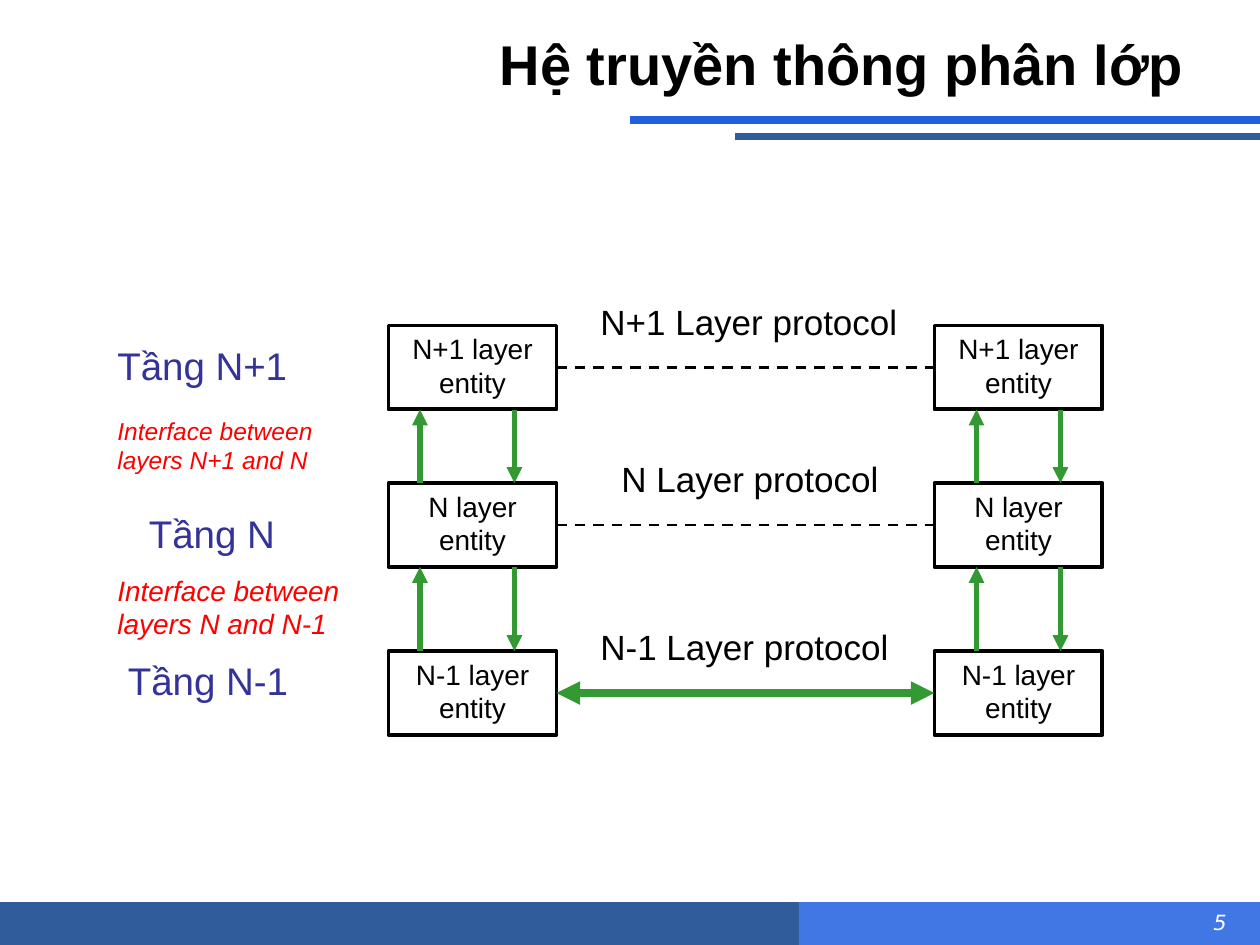
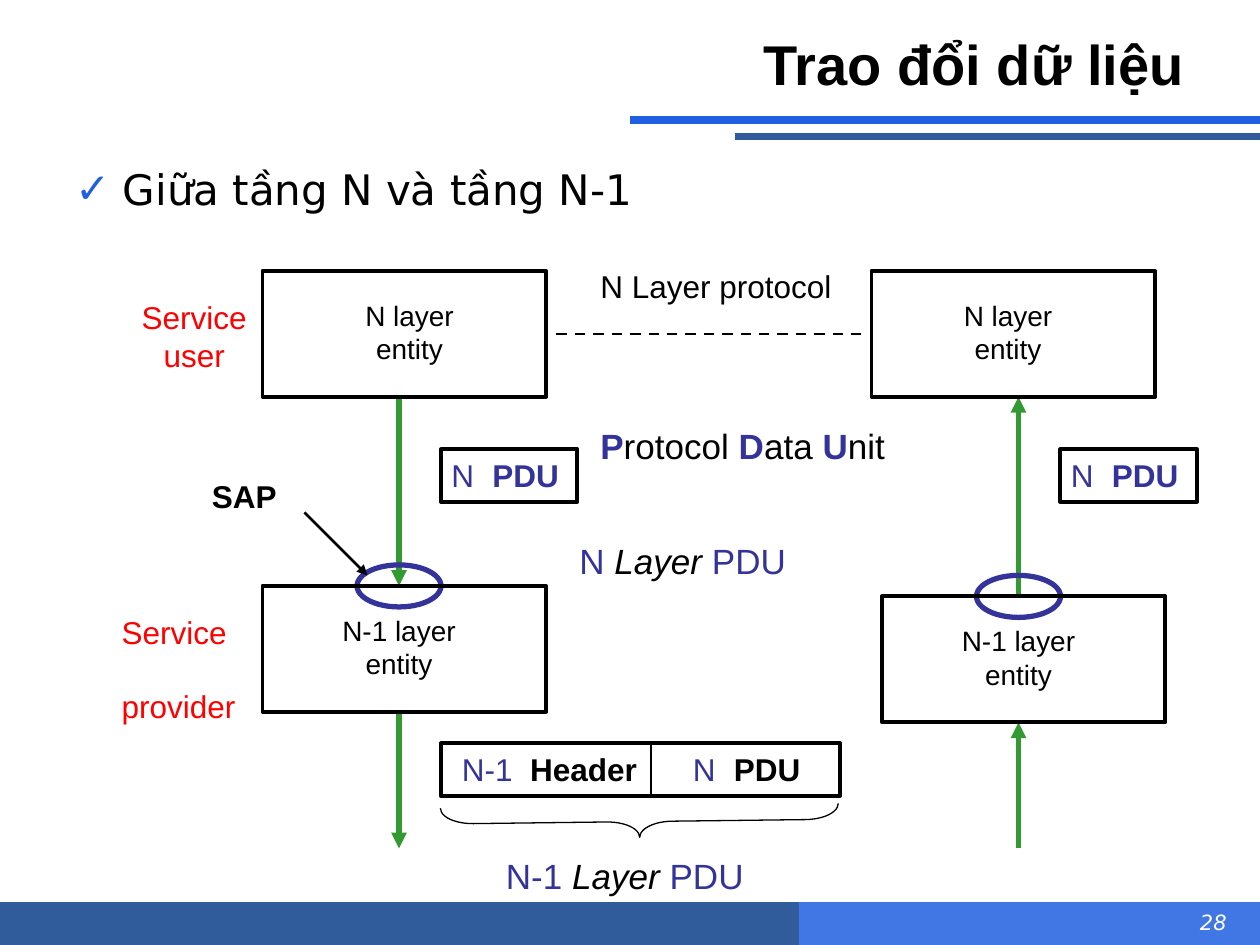
from lxml import etree
from pptx import Presentation
from pptx.dml.color import RGBColor
from pptx.enum.dml import MSO_LINE
from pptx.enum.shapes import MSO_CONNECTOR, MSO_SHAPE
from pptx.enum.text import MSO_ANCHOR, MSO_AUTO_SIZE, PP_ALIGN
from pptx.oxml.ns import qn
from pptx.util import Pt

PX = 7620  # 120 px to the inch
RECT, OVAL, BRACE = MSO_SHAPE.RECTANGLE, MSO_SHAPE.OVAL, MSO_SHAPE.RIGHT_BRACE
STRAIGHT, DASH = MSO_CONNECTOR.STRAIGHT, MSO_LINE.DASH
LEFT, CENTER, RIGHT = PP_ALIGN.LEFT, PP_ALIGN.CENTER, PP_ALIGN.RIGHT
TOP, MIDDLE, NO_FIT = MSO_ANCHOR.TOP, MSO_ANCHOR.MIDDLE, MSO_AUTO_SIZE.NONE
rgb = RGBColor.from_string

BLACK, WHITE, RED = "000000", "FFFFFF", "FF0000"
INDIGO, GREEN = "333399", "339933"
BRIGHT, NAVY, SKY = "2060E0", "315C9B", "4077E4"
SANS, UI = "Arial", "DejaVu Sans"


def add_box(slide, box, runs=(), size=16, align=LEFT, font=SANS, preset=None,
            line=BLACK, width=2.25, fill=None, insets=(12, 6, 12, 6), tab=None):
    """Text box, or preset shape when one is given; runs are (text, colour, style)."""
    x, y, w, h = [v * PX for v in box]
    if preset is None:
        sp = slide.shapes.add_textbox(x, y, w, h)
    else:
        sp = slide.shapes.add_shape(preset, x, y, w, h)
        sp.shadow.inherit = False
        sp.line.color.rgb = rgb(line)
        sp.line.width = Pt(width)
        if fill:
            sp.fill.solid()
            sp.fill.fore_color.rgb = rgb(fill)
        else:
            sp.fill.background()
    tf = sp.text_frame
    tf.word_wrap = True
    tf.vertical_anchor = TOP
    tf.margin_left, tf.margin_top, tf.margin_right, tf.margin_bottom = [v * PX for v in insets]
    p = tf.paragraphs[0]
    p.alignment = align
    if tab:
        tabs = etree.SubElement(p._p.get_or_add_pPr(), qn("a:tabLst"))
        etree.SubElement(tabs, qn("a:tab"), pos=str(tab * PX), algn="l")
    for text, colour, style in runs:
        r = p.add_run()
        r.text = text
        r.font.name, r.font.size = font, Pt(size)
        r.font.bold, r.font.italic = "b" in style, "i" in style
        r.font.color.rgb = rgb(colour)
    return sp


def add_line(slide, ends, colour, width, dash=None, arrows=()):
    cx = slide.shapes.add_connector(STRAIGHT, *[v * PX for v in ends])
    cx.line.color.rgb = rgb(colour)
    cx.line.width = Pt(width)
    if dash:
        cx.line.dash_style = dash
    for end in arrows:
        etree.SubElement(cx.line._get_or_add_ln(), qn("a:" + end), type="triangle")
    etree.SubElement(cx._element.spPr, qn("a:effectLst"))
    return cx


prs = Presentation()
prs.slide_width, prs.slide_height = 1200 * PX, 900 * PX
layers = prs.slides.add_slide(prs.slide_layouts[5])
exchange = prs.slides.add_slide(prs.slide_layouts[1])

# Bands and rules, moved to the master so that every slide has them
decor = [
    add_box(layers, (600, 860, 600, 40), preset=RECT, line=SKY, width=0.75, fill=SKY),
    add_box(layers, (0, 860, 760, 40), preset=RECT, line=NAVY, width=0.75, fill=NAVY),
    add_line(layers, (1200, 114, 600, 114), BRIGHT, 4.5),
    add_line(layers, (1200, 130, 700, 130), NAVY, 4.5),
]
for sp in decor:
    prs.slide_master.shapes._spTree.append(sp._element)

# Titles and page numbers
for slide, title, number in ((layers, "Hệ truyền thông phân lớp", "5"),
                             (exchange, "Trao đổi dữ liệu", "28")):
    sp = slide.shapes.title
    sp.left, sp.top, sp.width, sp.height = 60 * PX, 20 * PX, 1080 * PX, 80 * PX
    tf = sp.text_frame
    tf.auto_size, tf.vertical_anchor = NO_FIT, MIDDLE
    p = tf.paragraphs[0]
    p.alignment = RIGHT
    r = p.add_run()
    r.text = title
    r.font.name, r.font.size, r.font.bold = SANS, Pt(32), True
    r.font.color.rgb = rgb(BLACK)
    add_box(slide, (960, 860, 220, 40), [(number, WHITE, "i")], 12, RIGHT, UI)

# Slide 1: layer names and interfaces
for text, x, y in (("Tầng N+1", 100, 320), ("Tầng N", 130, 480), ("Tầng N-1", 110, 620)):
    add_box(layers, (x, y, 220, 56), [(text, INDIGO, "")], 22)
for text, y, size in (("Interface between layers N+1 and N", 390, 14),
                      ("Interface between layers N and N-1", 540, 16)):
    add_box(layers, (100, y, 250, 72), [(text, RED, "i")], size)

# Slide 1: one pair of entities for each layer, joined by its protocol
ENTITY_W, ENTITY_H = 160, 80
LEFT_X, RIGHT_X = 370, 890
rows = (("N+1", 310, 560), ("N", 460, 580), ("N-1", 620, 560))
for name, y, label_x in rows:
    pair = [add_box(layers, (x, y, ENTITY_W, ENTITY_H), [(name + " layer entity", BLACK, "")],
                    align=CENTER, preset=RECT) for x in (LEFT_X, RIGHT_X)]
    mid = y + ENTITY_H // 2
    ends = (LEFT_X + ENTITY_W, mid, RIGHT_X, mid)
    if name == "N-1":
        cx = add_line(layers, ends, GREEN, 4.5, arrows=("headEnd", "tailEnd"))
    else:
        cx = add_line(layers, ends, BLACK, 1.5, DASH)
    cx.begin_connect(pair[0], 3)
    cx.end_connect(pair[1], 1)
    add_box(layers, (label_x, y - 30, 310, 53), [(name + " Layer protocol", BLACK, "")], 20)

# Slide 1: arrows up and down between neighbouring layers
for (_, upper, _), (_, lower, _) in zip(rows, rows[1:]):
    for up_x, down_x in ((400, 490), (930, 1010)):
        add_line(layers, (up_x, lower, up_x, upper + ENTITY_H), GREEN, 3, arrows=["tailEnd"])
        add_line(layers, (down_x, upper + ENTITY_H, down_x, lower), GREEN, 3, arrows=["tailEnd"])

# Slide 2: bullet
sp = exchange.placeholders[1]
sp.left, sp.top, sp.width, sp.height = 60 * PX, 140 * PX, 1080 * PX, 680 * PX
tf = sp.text_frame
tf.auto_size = NO_FIT
p = tf.paragraphs[0]
p.line_spacing, p.space_before = 1.2, Pt(0)
pPr = p._p.get_or_add_pPr()
pPr.set("marL", str(45 * PX))
pPr.set("indent", str(-45 * PX))
etree.SubElement(etree.SubElement(pPr, qn("a:buClr")), qn("a:srgbClr"), val=BRIGHT)
etree.SubElement(pPr, qn("a:buChar"), char="✓")
r = p.add_run()
r.text = "Giữa tầng N và tầng N-1"
r.font.name, r.font.size = UI, Pt(24)
r.font.color.rgb = rgb(BLACK)

# Slide 2: data flow and access points, below the entities
for ends in ((380, 378, 380, 558), (970, 568, 970, 378),
             (380, 678, 380, 808), (970, 808, 970, 688)):
    add_line(exchange, ends, GREEN, 3, arrows=["tailEnd"])
for x, y in ((340, 538), (930, 548)):
    add_box(exchange, (x, y, 80, 40), preset=OVAL, line=INDIGO, width=3)
add_line(exchange, (290, 488, 350, 548), BLACK, 1.5, arrows=["tailEnd"])
add_line(exchange, (530, 318, 820, 318), BLACK, 1.5, DASH)

# Slide 2: entities
for name, x, y, inset in (("N", 250, 258, 72), ("N", 830, 258, 62),
                          ("N-1", 250, 558, 62), ("N-1", 840, 568, 62)):
    add_box(exchange, (x, y, 270, 120), [(name + " layer entity", BLACK, "")], align=CENTER,
            preset=RECT, insets=(inset, 26, 134 - inset, 6))

# Slide 2: data units
for x in (420, 1010):
    add_box(exchange, (x, 428, 130, 50), [("N\t", INDIGO, ""), ("PDU", INDIGO, "b")], 18,
            preset=RECT, insets=(10, 6, 0, 6), tab=39)
add_box(exchange, (420, 708, 380, 50), preset=RECT)
add_line(exchange, (620, 708, 620, 758), BLACK, 1.5)
for name, part, x, w, inset, tab in (("N-1", "Header", 420, 200, 20, 65),
                                     ("N", "PDU", 620, 180, 40, 39)):
    add_box(exchange, (x, 708, w, 50), [(name + "\t", INDIGO, ""), (part, BLACK, "b")], 18,
            insets=(inset, 6, 0, 6), tab=tab)
sp = add_box(exchange, (594, 593, 30, 379), preset=BRACE, width=0.75)
sp.adjustments[0] = 1.04
sp.rotation = 89.3

# Slide 2: labels
add_box(exchange, (560, 248, 250, 48), [("N Layer protocol", BLACK, "")], 18)
add_box(exchange, (190, 448, 140, 48), [("SAP", BLACK, "b")], 18)
add_box(exchange, (120, 278, 130, 84), [("Service user", RED, "")], 18, CENTER)
sp = add_box(exchange, (104, 578, 140, 120), [("Service", RED, "")], 18)
p = sp.text_frame.add_paragraph()
p.space_before = Pt(20.5)
r = p.add_run()
r.text = "provider"
r.font.name, r.font.size = SANS, Pt(18)
r.font.color.rgb = rgb(RED)
words = (("P", "rotocol "), ("D", "ata "), ("U", "nit"))
runs = [run for cap, rest in words for run in ((cap, INDIGO, "b"), (rest, BLACK, ""))]
add_box(exchange, (560, 398, 300, 53), runs, 20)
for name, x, y in (("N", 540, 508), ("N-1", 470, 808)):
    add_box(exchange, (x, y, 280, 53),
            [(name, INDIGO, ""), (" Layer ", BLACK, "i"), ("PDU", INDIGO, "")], 20)

prs.save("out.pptx")
